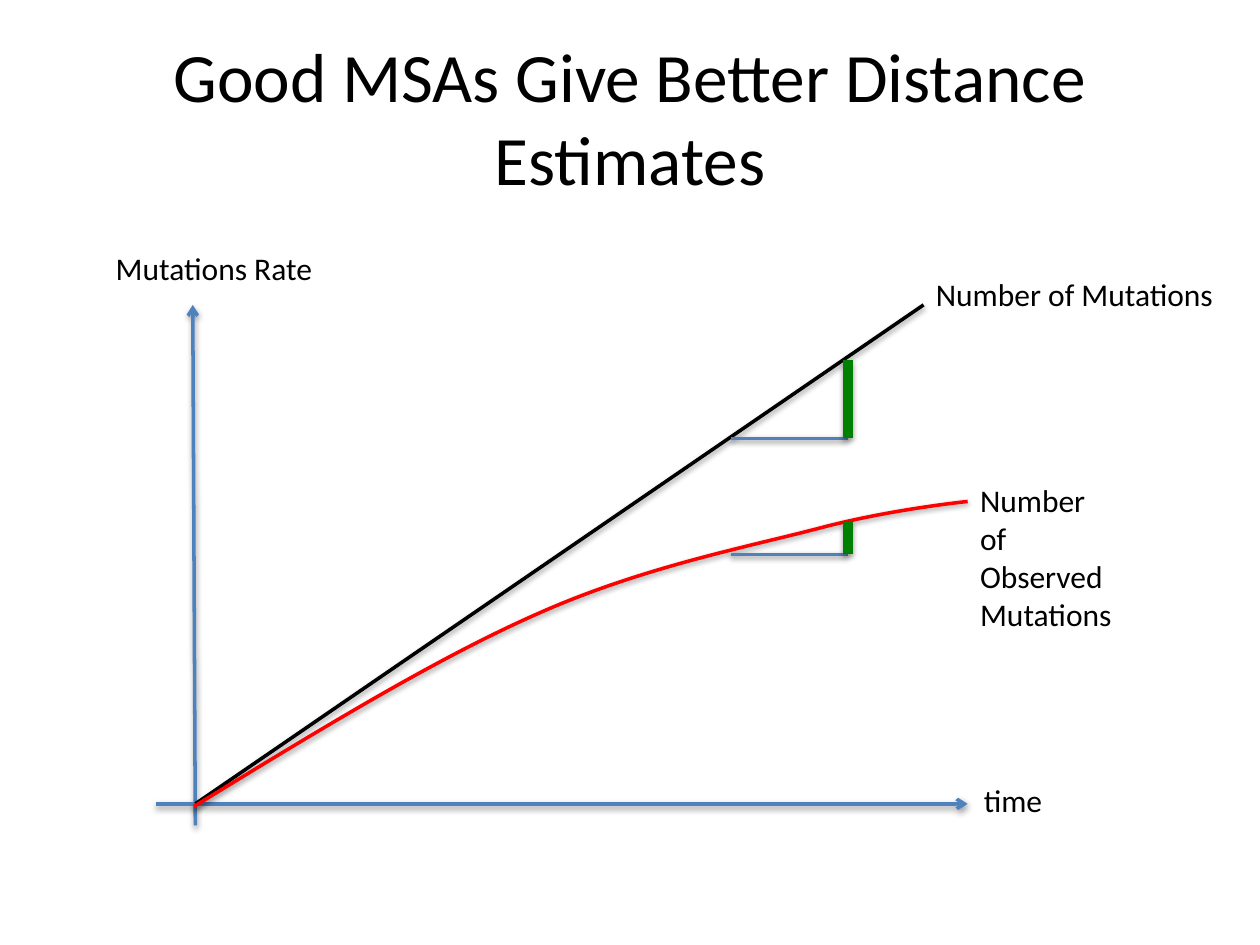
"""Build a slide comparing true and observed mutation counts over time."""
from dataclasses import dataclass

from lxml import etree
from pptx import Presentation
from pptx.dml.color import RGBColor
from pptx.enum.shapes import MSO_CONNECTOR
from pptx.enum.text import MSO_ANCHOR, MSO_AUTO_SIZE, PP_ALIGN
from pptx.oxml import parse_xml
from pptx.oxml.ns import nsdecls, qn
from pptx.util import Pt

STRAIGHT = MSO_CONNECTOR.STRAIGHT
MIDDLE = MSO_ANCHOR.MIDDLE
CENTER = PP_ALIGN.CENTER
FIT_SHAPE = MSO_AUTO_SIZE.SHAPE_TO_FIT_TEXT
NO_FIT = MSO_AUTO_SIZE.NONE


@dataclass(frozen=True)
class Theme:
    font: str = "Calibri"
    text: RGBColor = RGBColor(0, 0, 0)
    axis: RGBColor = RGBColor(0x4F, 0x81, 0xBD)
    actual: RGBColor = RGBColor(0, 0, 0)
    observed: RGBColor = RGBColor(0xFF, 0, 0)
    rise: RGBColor = RGBColor(0, 0x80, 0)
    title_size: float = 39.6
    label_size: float = 18


theme = Theme()
SHADOW = (
    f'<a:effectLst {nsdecls("a")}><a:outerShdw blurRad="40000" dist="20000" '
    'dir="5400000" rotWithShape="0"><a:srgbClr val="000000">'
    '<a:alpha val="38000"/></a:srgbClr></a:outerShdw></a:effectLst>'
)


def style_stroke(shape, color, width=2):
    shape.line.color.rgb = color
    shape.line.width = Pt(width)
    shape._element.spPr.append(parse_xml(SHADOW))


def write_text(paragraph, text, size):
    span = paragraph.add_run()
    span.text = text
    span.font.name = theme.font
    span.font.size = Pt(size)
    span.font.color.rgb = theme.text


deck = Presentation()
deck.slide_width, deck.slide_height = Pt(720), Pt(540)
page = deck.slides.add_slide(deck.slide_layouts[5])

title = page.shapes.title
title.left, title.top, title.width, title.height = Pt(36), Pt(21.6), Pt(648), Pt(90)
title.text_frame.auto_size = NO_FIT
title.text_frame.word_wrap = True
title.text_frame.vertical_anchor = MIDDLE
heading = title.text_frame.paragraphs[0]
heading.alignment = CENTER
write_text(heading, "Good MSAs Give Better Distance Estimates", theme.title_size)

base = 459.36
chart_top = 174.24
origin = 111.6
chart_lines = [
    (origin, 471.6, 110.16, chart_top, theme.axis, True),
    (89.28, base, 552.96, base, theme.axis, True),
    (origin, base, 527.76, chart_top, theme.actual, False),
]
for *ends, color, has_arrow in chart_lines:
    line = page.shapes.add_connector(STRAIGHT, *map(Pt, ends))
    style_stroke(line, color)
    if has_arrow:
        stroke = line.line._get_or_add_ln()
        etree.SubElement(stroke, qn("a:tailEnd"), type="arrow")

curve_points = [
    (179.28, 419.04), (248.4, 376.56), (307.44, 350.64),
    (367.2, 324), (427.68, 312.48), (468.72, 301.68),
    (509.76, 290.88), (552.96, 286.56), (552.96, 286.56),
]
builder = page.shapes.build_freeform(Pt(110.88), Pt(460.8))
builder.add_line_segments([(Pt(x), Pt(y)) for x, y in curve_points], close=False)
curve = builder.convert_to_shape()
curve.fill.background()
style_stroke(curve, theme.observed)
outline = curve._element.find(".//" + qn("a:path"))
segments = outline.findall(qn("a:lnTo"))
for start in range(0, len(segments), 3):
    bend = etree.SubElement(outline, qn("a:cubicBezTo"))
    for segment in segments[start:start + 3]:
        bend.append(segment[0])
        outline.remove(segment)

labels = [
    (527.76, 153.36, 174.96, 28.8, False, ["Number of Mutations"]),
    (552.96, 271.44, 149.76, 94.32, True, ["Number", "of", "Observed", "Mutations"]),
    (59.04, 138.96, 128.88, 28.8, False, ["Mutations Rate"]),
    (555.12, 442.8, 48.24, 28.8, False, ["time"]),
]
for *bounds, wraps, rows in labels:
    box = page.shapes.add_textbox(*map(Pt, bounds))
    frame = box.text_frame
    frame.word_wrap = wraps
    frame.auto_size = FIT_SHAPE
    for index, row in enumerate(rows):
        paragraph = frame.add_paragraph() if index else frame.paragraphs[0]
        write_text(paragraph, row, theme.label_size)

run_left, run_right = 417.6, 484.56
for step_base, step_top in [(316.8, 298.08), (250.56, 205.92)]:
    for left, top, color, width in [
        (run_left, step_base, theme.axis, 2),
        (run_right, step_top, theme.rise, 6),
    ]:
        step = page.shapes.add_connector(
            STRAIGHT, Pt(left), Pt(top), Pt(run_right), Pt(step_base)
        )
        style_stroke(step, color, width)

deck.save("out.pptx")
